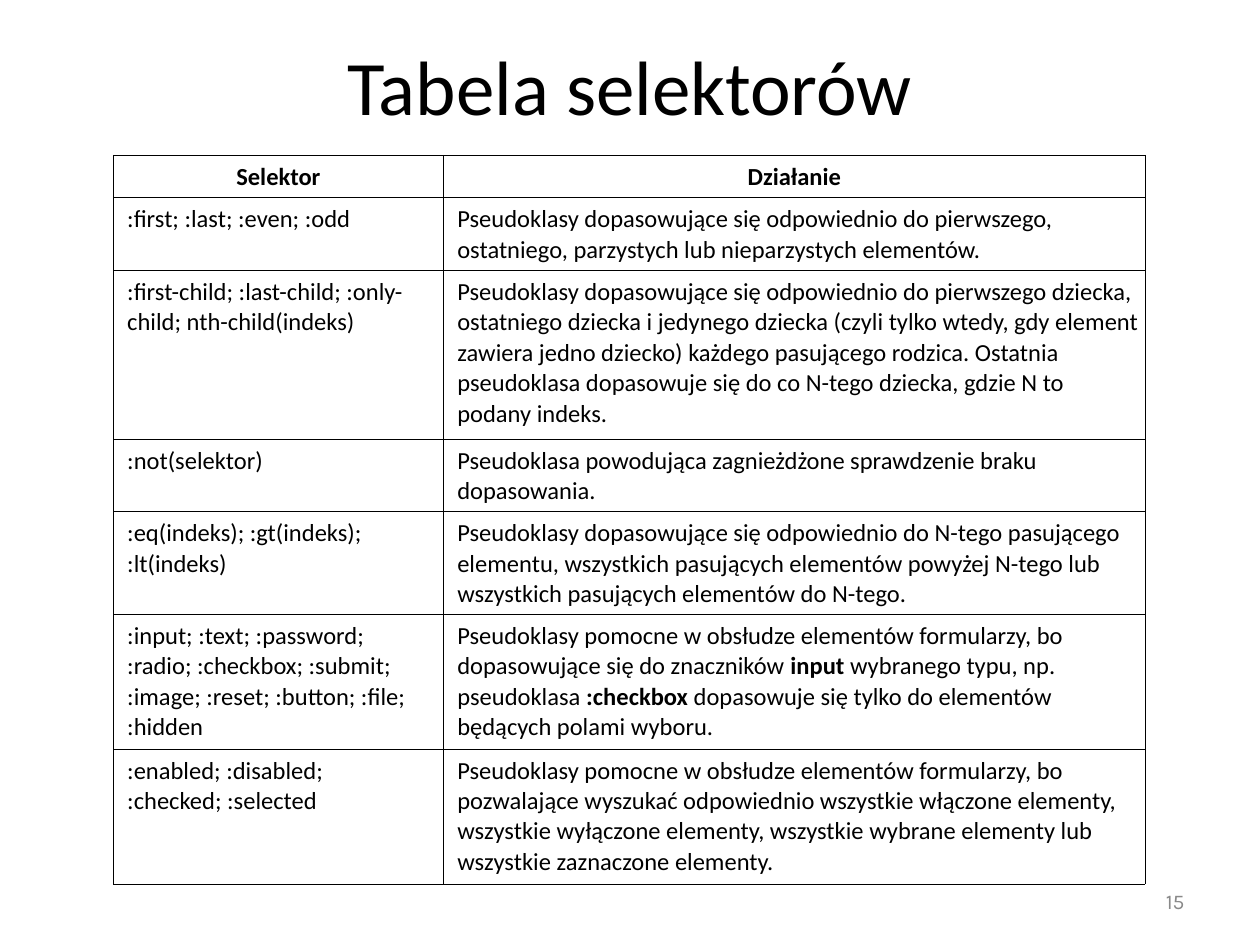
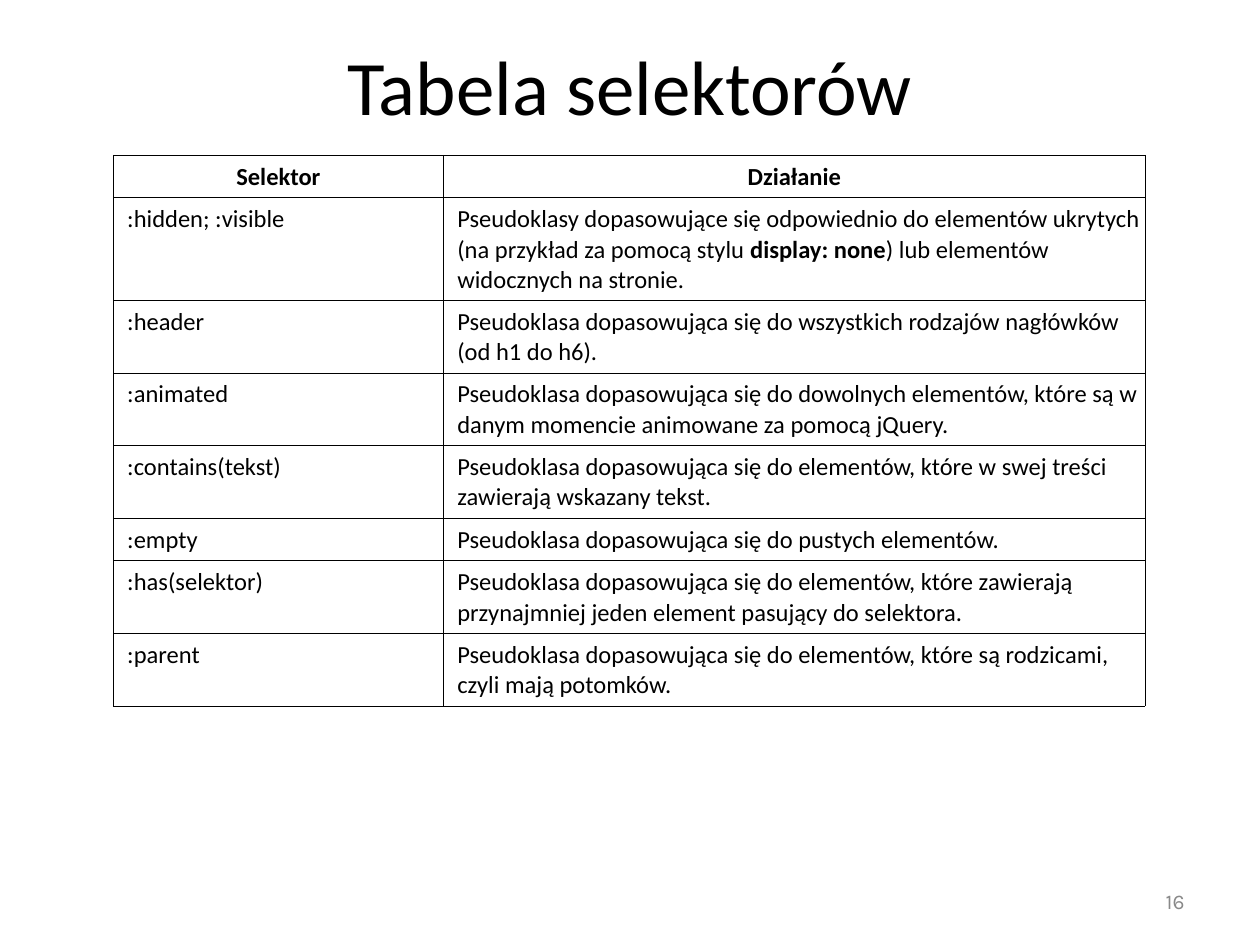
from dataclasses import dataclass

from lxml.etree import SubElement
from pptx import Presentation
from pptx.dml.color import RGBColor
from pptx.enum.text import MSO_ANCHOR as Anchor, PP_ALIGN as Align
from pptx.oxml import parse_xml
from pptx.oxml.ns import nsdecls, qn
from pptx.util import Inches, Pt


@dataclass(frozen=True)
class Theme:
    ink: RGBColor = RGBColor(0x00, 0x00, 0x00)
    muted: RGBColor = RGBColor(0x89, 0x89, 0x89)
    font: str = "Calibri"
    number_font: str = "Karla"
    title_size: int = 44
    body_size: int = 14
    number_size: int = 12
    line_spacing: float = 1.02
    border_width: float = 0.11


THEME = Theme()
TITLE_STYLE = dict(name=THEME.font, size=Pt(THEME.title_size), color=THEME.ink)
BODY_STYLE = dict(name=THEME.font, size=Pt(THEME.body_size), color=THEME.ink)
NUMBER_STYLE = dict(name=THEME.number_font, size=Pt(THEME.number_size), color=THEME.muted)

# Boxes are left, top, width, height in inches.
TITLE_BOX = (0.5, 0.05, 9, 1.25)
NUMBER_BOX = (7.17, 6.95, 2.33, 0.4)
TABLE_BOX = (0.9, 1.23, 8.19)
SELECTOR_SHARE = 0.32
LINE_HEIGHT = 0.268
CELL_MARGINS = dict(margin_left=0.03, margin_right=0.03, margin_top=0.05, margin_bottom=0.05)
CELL_INDENT = 0.08

TITLE = "Tabela selektorów"
HEADER = ("**Selektor**", "**Działanie**", 1)

# Each row: selector, description, lines of text that set the row height.
# Text between ** marks is bold.
POSITION_AND_FORM_ROWS = [
    (":first; :last; :even; :odd",
     "Pseudoklasy dopasowujące się odpowiednio do pierwszego, ostatniego, parzystych lub "
     "nieparzystych elementów.", 2),
    (":first-child; :last-child; :only-child; nth-child(indeks)",
     "Pseudoklasy dopasowujące się odpowiednio do pierwszego dziecka, ostatniego dziecka i "
     "jedynego dziecka (czyli tylko wtedy, gdy element zawiera jedno dziecko) każdego "
     "pasującego rodzica. Ostatnia pseudoklasa dopasowuje się do co N-tego dziecka, gdzie N "
     "to podany indeks.", 5),
    (":not(selektor)",
     "Pseudoklasa powodująca zagnieżdżone sprawdzenie braku dopasowania.", 2),
    (":eq(indeks); :gt(indeks);\n:lt(indeks)",
     "Pseudoklasy dopasowujące się odpowiednio do N-tego pasującego elementu, wszystkich "
     "pasujących elementów powyżej N-tego lub wszystkich pasujących elementów do N-tego.", 3),
    (":input; :text; :password;\n:radio; :checkbox; :submit;\n"
     ":image; :reset; :button; :file;\n:hidden",
     "Pseudoklasy pomocne w obsłudze elementów formularzy, bo dopasowujące się do znaczników "
     "**input **wybranego typu, np. pseudoklasa **:checkbox **dopasowuje się tylko do "
     "elementów będących polami wyboru.", 4),
    (":enabled; :disabled;\n:checked; :selected",
     "Pseudoklasy pomocne w obsłudze elementów formularzy, bo pozwalające wyszukać odpowiednio "
     "wszystkie włączone elementy, wszystkie wyłączone elementy, wszystkie wybrane elementy "
     "lub wszystkie zaznaczone elementy.", 4),
]
STATE_AND_CONTENT_ROWS = [
    (":hidden; :visible",
     "Pseudoklasy dopasowujące się odpowiednio do elementów ukrytych (na przykład za pomocą "
     "stylu **display: none**) lub elementów widocznych na stronie.", 3),
    (":header",
     "Pseudoklasa dopasowująca się do wszystkich rodzajów nagłówków (od h1 do h6).", 2),
    (":animated",
     "Pseudoklasa dopasowująca się do dowolnych elementów, które są w danym momencie "
     "animowane za pomocą jQuery.", 2),
    (":contains(tekst)",
     "Pseudoklasa dopasowująca się do elementów, które w swej treści zawierają wskazany "
     "tekst.", 2),
    (":empty", "Pseudoklasa dopasowująca się do pustych elementów.", 1),
    (":has(selektor)",
     "Pseudoklasa dopasowująca się do elementów, które zawierają przynajmniej jeden element "
     "pasujący do selektora.", 2),
    (":parent",
     "Pseudoklasa dopasowująca się do elementów, które są rodzicami, czyli mają potomków.", 2),
]
PAGES = {15: POSITION_AND_FORM_ROWS, 16: STATE_AND_CONTENT_ROWS}


def style_font(font, color, **attrs):
    for name, value in attrs.items():
        setattr(font, name, value)
    font.color.rgb = color


def write_marked_text(p, text, style):
    """Fill a paragraph, toggling bold at ** and breaking lines at newlines."""
    for i, part in enumerate(text.split("**")):
        for j, line in enumerate(part.split("\n")):
            if j:
                p.add_line_break()
            if line:
                r = p.add_run()
                r.text = line
                style_font(r.font, bold=i % 2 == 1, **style)


def add_label(s, box, text, align, style):
    tf = s.shapes.add_textbox(*map(Inches, box)).text_frame
    tf.word_wrap = True
    tf.vertical_anchor = Anchor.MIDDLE
    tf.paragraphs[0].alignment = align
    write_marked_text(tf.paragraphs[0], text, style)


def add_borders(cell):
    tc_pr = cell._tc.get_or_add_tcPr()
    for i, side in enumerate(("lnL", "lnR", "lnT", "lnB")):
        ln = parse_xml(f'<a:{side} {nsdecls("a")} w="{Pt(THEME.border_width)}"/>')
        fill = SubElement(ln, qn("a:solidFill"))
        SubElement(fill, qn("a:srgbClr"), val=str(THEME.ink))
        tc_pr.insert(i, ln)


def fill_cell(cell, text, is_header):
    for name, value in CELL_MARGINS.items():
        setattr(cell, name, Inches(value))
    cell.fill.background()
    add_borders(cell)
    p = cell.text_frame.paragraphs[0]
    p.line_spacing = THEME.line_spacing
    if is_header:
        p.alignment = Align.CENTER
    else:
        p_pr = p._p.get_or_add_pPr()
        p_pr.set("marL", str(Inches(CELL_INDENT)))
        p_pr.set("indent", "0")
    write_marked_text(p, text, BODY_STYLE)


def add_selector_table(s, box, rows):
    left, top, width = box
    heights = [round(LINE_HEIGHT * lines, 2) for *_, lines in rows]
    table = s.shapes.add_table(len(rows), 2, *map(Inches, (left, top, width, sum(heights)))).table
    table.first_row = table.horz_banding = False
    selector_width = round(width * SELECTOR_SHARE, 2)
    for column, column_width in zip(table.columns, (selector_width, width - selector_width)):
        column.width = Inches(column_width)
    for i, (selector, description, _) in enumerate(rows):
        table.rows[i].height = Inches(heights[i])
        for j, text in enumerate((selector, description)):
            fill_cell(table.cell(i, j), text, is_header=i == 0)


def add_selector_slide(prs, number, rows):
    s = prs.slides.add_slide(prs.slide_layouts[6])
    add_label(s, TITLE_BOX, TITLE, Align.CENTER, TITLE_STYLE)
    add_label(s, NUMBER_BOX, str(number), Align.RIGHT, NUMBER_STYLE)
    add_selector_table(s, TABLE_BOX, [HEADER, *rows])


def main():
    prs = Presentation()
    prs.slide_width, prs.slide_height = Inches(10), Inches(7.5)
    for number, rows in PAGES.items():
        add_selector_slide(prs, number, rows)
    prs.save("out.pptx")


if __name__ == "__main__":
    main()
